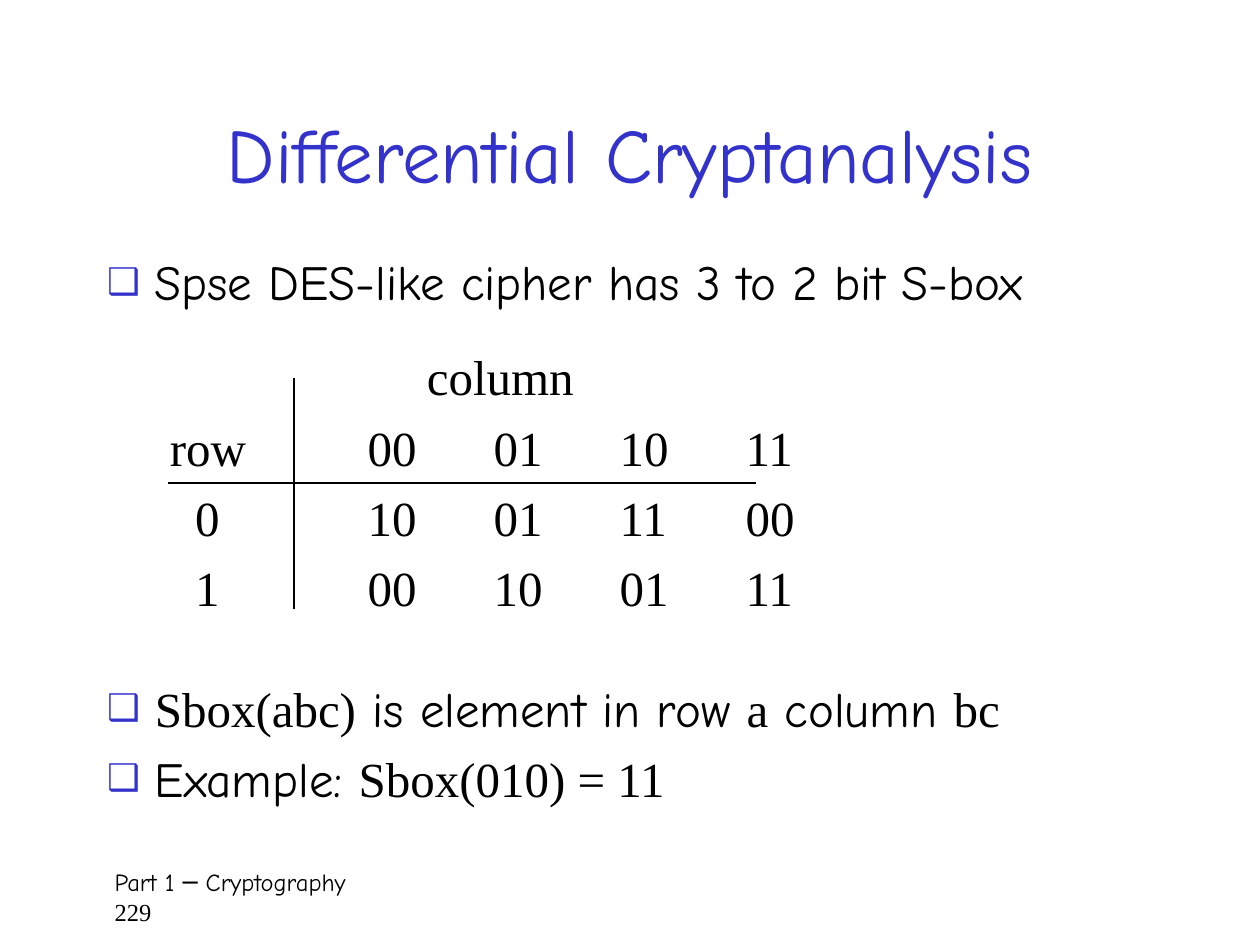
from lxml.etree import SubElement
from pptx import Presentation
from pptx.dml.color import RGBColor
from pptx.enum.shapes import MSO_CONNECTOR
from pptx.enum.text import MSO_ANCHOR, MSO_AUTO_SIZE, PP_ALIGN
from pptx.oxml.ns import qn
from pptx.util import Inches, Pt

BLUE = RGBColor(0x33, 0x33, 0xCC)
BLACK = RGBColor(0, 0, 0)
COMIC = "Comic Neue"
TIMES = "Times New Roman"
GRID = Inches(1) // 12


def place(shape, box):
    shape.left, shape.top, shape.width, shape.height = (GRID * part for part in box)
    frame = shape.text_frame
    frame.word_wrap = True
    frame.auto_size = MSO_AUTO_SIZE.NONE
    frame.vertical_anchor = MSO_ANCHOR.TOP
    return frame


def add_paragraph(frame, first):
    paragraph = frame.paragraphs[0] if first else frame.add_paragraph()
    paragraph.space_before = Pt(0 if first else 6.5)
    return paragraph


def add_text(paragraph, text, font=COMIC, size=28, color=BLACK):
    run = paragraph.add_run()
    run.text = text
    run.font.name = font
    run.font.size = Pt(size)
    run.font.color.rgb = color


def set_bullet(paragraph):
    properties = paragraph._p.get_or_add_pPr()
    properties.set("marL", str(Inches(0.38)))
    properties.set("indent", str(-Inches(0.38)))
    color = SubElement(properties, qn("a:buClr"))
    SubElement(color, qn("a:srgbClr"), val=str(BLUE))
    SubElement(properties, qn("a:buSzPct"), val="75000")
    SubElement(properties, qn("a:buChar"), char="❑")


def set_tabs(paragraph, stops):
    tabs = SubElement(paragraph._p.get_or_add_pPr(), qn("a:tabLst"))
    for stop in stops:
        SubElement(tabs, qn("a:tab"), pos=str(Inches(stop)), algn="l")


def add_title(slide, box, text):
    frame = place(slide.shapes.title, box)
    frame.vertical_anchor = MSO_ANCHOR.MIDDLE
    paragraph = frame.paragraphs[0]
    paragraph.alignment = PP_ALIGN.CENTER
    add_text(paragraph, text, size=44, color=BLUE)


def add_bullets(placeholder, box, items, line_spacing=1.0):
    frame = place(placeholder, box)
    for index, runs in enumerate(items):
        paragraph = add_paragraph(frame, index == 0)
        set_bullet(paragraph)
        paragraph.line_spacing = line_spacing
        for text, font in runs:
            add_text(paragraph, text, font=font)


def add_rule(slide, *ends):
    line = slide.shapes.add_connector(MSO_CONNECTOR.STRAIGHT, *(GRID * end for end in ends))
    line.line.color.rgb = BLACK
    line.line.width = Pt(0.75)
    SubElement(line._element.spPr, qn("a:effectLst"))


def add_sbox(slide, box, rows):
    left, top, width, height = box
    frame = place(slide.shapes.add_textbox(0, 0, 0, 0), box)
    columns = [1.57 + step for step in range(4)]
    heading = add_paragraph(frame, True)
    set_tabs(heading, [2.04])
    heading.line_spacing = 0.9
    add_text(heading, "\tcolumn", font=TIMES)
    for label, *values in rows:
        paragraph = add_paragraph(frame, False)
        is_number = label.isdigit()
        set_tabs(paragraph, [0.2] * is_number + columns)
        add_text(paragraph, "\t" * is_number + "\t".join([label, *values]), font=TIMES)
    add_rule(slide, left + 13, top + 3, left + 13, top + height - 2)
    add_rule(slide, left + 1, top + 13, left + width - 5, top + 13)


def add_footer(slide, box, text, number):
    frame = place(slide.shapes.add_textbox(0, 0, 0, 0), box)
    frame.margin_left = Inches(0.16)
    paragraph = frame.paragraphs[0]
    add_text(paragraph, text, size=14)
    paragraph.add_line_break()
    add_text(paragraph, number, font=TIMES, size=14)


def main():
    presentation = Presentation()
    presentation.slide_width = GRID * 120
    presentation.slide_height = GRID * 90
    slide = presentation.slides.add_slide(presentation.slide_layouts[3])
    add_footer(slide, (9, 82, 103, 6), "Part 1 ─ Cryptography", "229")
    add_title(slide, (9, 7, 102, 15), "Differential Cryptanalysis")
    add_bullets(slide.placeholders[1], (9, 24, 102, 10),
                [[("Spse DES-like cipher has 3 to 2 bit S-box", COMIC)]], line_spacing=0.9)
    add_sbox(slide, (15, 33, 62, 27), [
        ("row", "00", "01", "10", "11"),
        ("0", "10", "01", "11", "00"),
        ("1", "00", "10", "01", "11"),
    ])
    add_bullets(slide.placeholders[2], (9, 64, 102, 15), [
        [("Sbox(abc)", TIMES), (" is element in row ", COMIC), ("a", TIMES),
         (" column ", COMIC), ("bc", TIMES)],
        [("Example: ", COMIC), ("Sbox(010) = 11", TIMES)],
    ])
    presentation.save("out.pptx")


if __name__ == "__main__":
    main()
